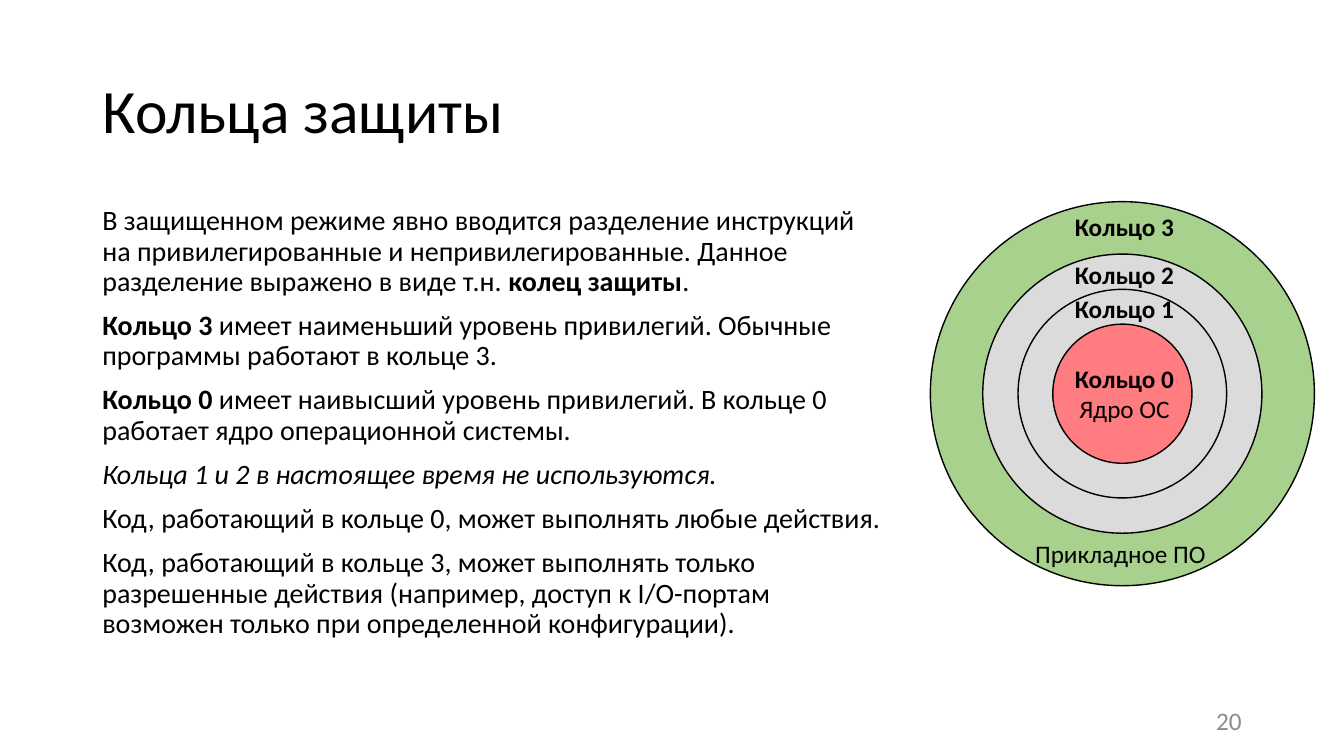
from dataclasses import dataclass

from pptx import Presentation
from pptx.dml.color import RGBColor
from pptx.enum.shapes import MSO_SHAPE as Shape
from pptx.enum.text import MSO_ANCHOR as Anchor, PP_ALIGN as Align
from pptx.util import Pt

FONT = "Calibri"
COLORS = {
    "text": "000000",
    "number": "8C8C8C",
    "user": "A9D18E",
    "unused": "DBDBDB",
    "kernel": "FF7C80",
}
CENTER_X, CENTER_Y = 801.7, 281.2


@dataclass
class Span:
    text: str
    bold: bool = False
    italic: bool = False


@dataclass
class Ring:
    diameter: float
    color: str


@dataclass
class Label:
    center_x: float
    top: float
    width: float
    height: float
    lines: list[Span]


BODY = [
    [Span("В защищенном режиме явно вводится разделение инструкций на "
          "привилегированные и непривилегированные. Данное разделение "
          "выражено в виде т.н. "),
     Span("колец защиты", bold=True), Span(".")],
    [Span("Кольцо 3 ", bold=True),
     Span("имеет наименьший уровень привилегий. Обычные программы работают в кольце 3.")],
    [Span("Кольцо 0 ", bold=True),
     Span("имеет наивысший уровень привилегий. В кольце 0 работает ядро операционной системы.")],
    [Span("Кольца 1 и 2 в настоящее время не используются.", italic=True)],
    [Span("Код, работающий в кольце 0, может выполнять любые действия.")],
    [Span("Код, работающий в кольце 3, может выполнять только разрешенные действия "
          "(например, доступ к I/O-портам возможен только при определенной конфигурации).")],
]
RINGS = [
    Ring(274.3, "user"),
    Ring(199.4, "unused"),
    Ring(149, "unused"),
    Ring(99.4, "kernel"),
]
LABELS = [
    Label(803.2, 205.9, 85.7, 29, [Span("Кольцо 1", bold=True)]),
    Label(803.2, 181.4, 85.7, 29, [Span("Кольцо 2", bold=True)]),
    Label(803.2, 255.6, 85.7, 51, [Span("Кольцо 0", bold=True), Span("Ядро ОС")]),
    Label(803.2, 147.6, 85.7, 29, [Span("Кольцо 3", bold=True)]),
    Label(800.3, 380.9, 137.5, 29, [Span("Прикладное ПО")]),
]


def rgb(name: str) -> RGBColor:
    return RGBColor.from_string(COLORS[name])


def format_run(run, size: float, color: str = "text",
               bold: bool = False, italic: bool = False) -> None:
    run.font.name = FONT
    run.font.size = Pt(size)
    run.font.color.rgb = rgb(color)
    run.font.bold = bold
    run.font.italic = italic


def add_body(shapes) -> None:
    frame = shapes.add_textbox(Pt(66), Pt(144), Pt(574.6), Pt(367)).text_frame
    frame.word_wrap = True
    for index, spans in enumerate(BODY):
        para = frame.add_paragraph() if index else frame.paragraphs[0]
        para.line_spacing = 0.9
        para.space_before = Pt(10 if index else 0)
        for span in spans:
            run = para.add_run()
            run.text = span.text
            format_run(run, 20, bold=span.bold, italic=span.italic)


def add_ring(shapes, ring: Ring) -> None:
    radius = ring.diameter / 2
    circle = shapes.add_shape(Shape.OVAL, Pt(CENTER_X - radius), Pt(CENTER_Y - radius),
                              Pt(ring.diameter), Pt(ring.diameter))
    circle.shadow.inherit = False
    circle.fill.solid()
    circle.fill.fore_color.rgb = rgb(ring.color)
    circle.line.color.rgb = rgb("text")
    circle.line.width = Pt(1)


def add_label(shapes, label: Label) -> None:
    box = shapes.add_textbox(Pt(label.center_x - label.width / 2), Pt(label.top),
                             Pt(label.width), Pt(label.height))
    frame = box.text_frame
    frame.word_wrap = False
    frame.text = "\n".join(line.text for line in label.lines)
    for para, line in zip(frame.paragraphs, label.lines):
        para.alignment = Align.CENTER
        format_run(para.runs[0], 18, bold=line.bold)


def main() -> None:
    deck = Presentation()
    deck.slide_width, deck.slide_height = Pt(960), Pt(540)
    page = deck.slides.add_slide(deck.slide_layouts[5])

    # Title
    title = page.shapes.title
    title.left, title.top, title.width, title.height = Pt(66), Pt(28.8), Pt(828), Pt(104.4)
    title.text_frame.text = "Кольца защиты"
    title.text_frame.vertical_anchor = Anchor.MIDDLE
    para = title.text_frame.paragraphs[0]
    para.alignment = Align.LEFT
    para.line_spacing = 0.9
    format_run(para.runs[0], 44)

    # Page number
    number = page.shapes.add_textbox(Pt(678), Pt(500.5), Pt(216), Pt(28.8)).text_frame
    number.word_wrap = True
    number.vertical_anchor = Anchor.MIDDLE
    number.text = "20"
    number.paragraphs[0].alignment = Align.RIGHT
    format_run(number.paragraphs[0].runs[0], 18, "number")

    # Explanation
    add_body(page.shapes)

    # Ring diagram, outermost ring first
    diagram = page.shapes.add_group_shape()
    for ring in RINGS:
        add_ring(diagram.shapes, ring)
    for label in LABELS:
        add_label(diagram.shapes, label)

    deck.save("out.pptx")


if __name__ == "__main__":
    main()
